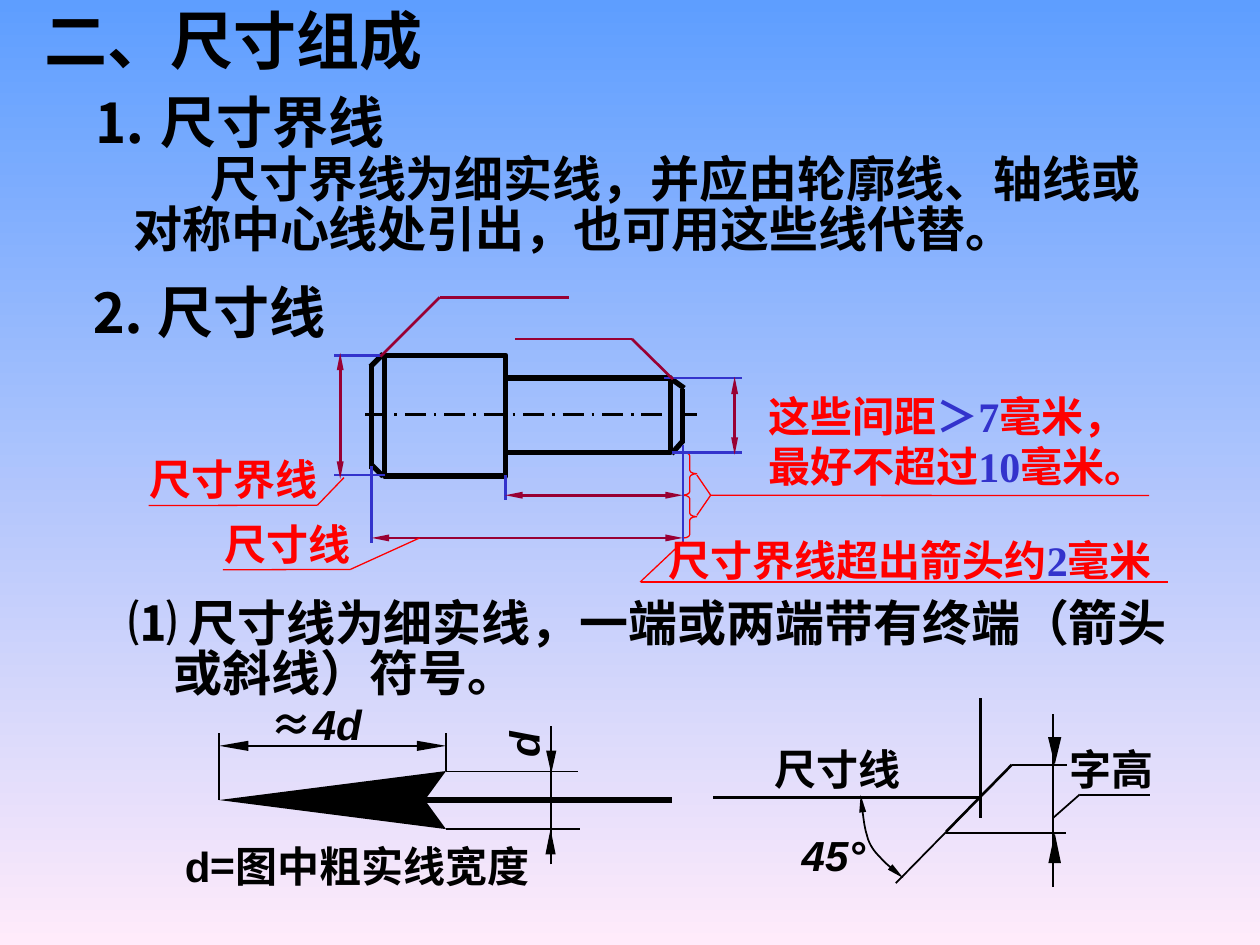
import pptx
import pptx.util
import pptx.dml.color
import pptx.enum.dml
import pptx.enum.shapes
import pptx.enum.text
import pptx.oxml
import pptx.oxml.ns
from dataclasses import dataclass

Pt = pptx.util.Pt
SHAPES = pptx.enum.shapes.MSO_SHAPE
ALIGN = pptx.enum.text.PP_ALIGN
ANCHOR = pptx.enum.text.MSO_ANCHOR


@dataclass(frozen=True)
class Theme:
    sky: str = "5E9EFF"
    blush: str = "FFEBFA"
    ink: str = "000000"
    note: str = "FF0000"
    extension: str = "3333CC"
    dimension: str = "990033"
    sans: str = "Arial"
    serif: str = "Times New Roman"
    chinese: str = "Noto Sans CJK SC"
    title: int = 36
    heading: int = 32
    body: int = 28
    label: int = 24
    thick: float = 3
    medium: float = 1.5
    thin: float = 1
    hair: float = 0.75


theme = Theme()

# ---- Content: text as paragraphs of spans, then left, top, width, height ----
TITLE = ("二、尺寸组成", (18, -3, 245, 50.4))
number = {"color": theme.extension}
HEADINGS = [
    ("⒈ 尺寸界线", (44.6, 46, 183.6, 46), {"align": ALIGN.CENTER}),
    ("⒉ 尺寸线", (43.9, 154.8, 151.2, 46), {}),
]
BODIES = [
    ([["尺寸界线为细实线，并应由轮廓线、轴线或对称中心线处引出，也可用这些线代替。"]],
     (69.1, 86.4, 614.9, 64.8), [(0, 44)]),
    ([["⑴ 尺寸线为细实线，一端或两端带有终端（箭头"], ["或斜线）符号。"]],
     (66.2, 339.8, 671.8, 64.8), [(0, 0), (26, 0)]),
]
NOTES = [
    ([["这些间距", ("＞7", number), "毫米，"], ["最好不超过", ("10", number), "毫米。"]],
     (432, 219.6, 241.9, 64.8)),
    ("尺寸界线", (78.5, 255.6, 110.2, 36)),
    ("尺寸线", (121, 293, 86.4, 36)),
    ([["尺寸界线超出箭头约", ("2", number), "毫米"]], (375.1, 301.7, 301.7, 36)),
]
middle = {"align": ALIGN.CENTER, "anchor": ANCHOR.MIDDLE}
flush = {"align": ALIGN.CENTER, "inset": (0, 0)}
slanted = {"font": theme.sans, "italic": True}
LABELS = [
    ([["≈", ("4d", slanted)]], (139.7, 398.9, 82.1, 28.8), flush),
    ("d", (284.4, 407.5, 28.8, 36), {**middle, **slanted, "rotation": 270}),
    ([[("d", {"font": theme.sans}), "=图中粗实线宽度"]], (98.6, 476.6, 216.7, 36),
     {"anchor": ANCHOR.MIDDLE}),
    ("字高", (611.3, 424.8, 48.2, 28.8), flush),
    ("尺寸线", (435.6, 421.2, 86.4, 36), middle),
    ("45°", (450.7, 470.2, 51.1, 36), {**middle, **slanted}),
]

# ---- Drawing: (colour, width, extra, [x1, y1, x2, y2 ...]) ----
SHAFT_RECTANGLES = [(219.6, 203, 69.5, 69.1), (288.7, 216, 94.3, 42.5)]
BRACE_TOPS = (258.5, 283)
LINES = [
    # shaft centre line and chamfers
    (theme.ink, theme.medium, "dash", [(208.8, 236.9, 398.2, 236.9)]),
    (theme.ink, theme.thick, None, [
        (383.8, 216.7, 391, 221.8), (390.2, 222.5, 390.2, 253.4),
        (383.8, 259.2, 390.2, 252), (218.9, 202.3, 211.7, 209.5),
        (212.4, 208.1, 212.4, 267.8), (218.9, 272.2, 212.4, 265.7)]),
    # extension lines
    (theme.extension, theme.medium, None, [
        (379.4, 216, 424.1, 216), (383.8, 258.5, 424.1, 258.5),
        (218.2, 203, 190.8, 203), (220.3, 271.4, 190.8, 271.4),
        (288.7, 271.4, 288.7, 285.8), (390.2, 254.2, 390.2, 310.3),
        (212.4, 266.4, 212.4, 310.3)]),
    # dimension lines
    (theme.dimension, theme.medium, "arrows", [
        (194.4, 201.6, 194.4, 273.6), (288.7, 283, 390.2, 283),
        (212.4, 307.4, 390.2, 307.4), (419.8, 215.3, 419.8, 259.9)]),
    # chamfer leaders
    (theme.dimension, theme.medium, None, [
        (217.4, 203.8, 251.3, 169.9), (251.3, 169.9, 325.4, 169.9),
        (384.5, 216.7, 361.1, 193.7), (361.4, 193.7, 294.5, 193.7)]),
    # note leaders
    (theme.note, theme.hair, None, [
        (398.2, 271.4, 406.1, 283), (398.2, 294.5, 406.1, 283),
        (406.1, 283, 656.6, 283.2), (196.6, 272.9, 181.4, 288.7),
        (181.4, 288.7, 85, 288.9), (239.8, 307.4, 200.2, 325.4),
        (200.2, 325.4, 127.4, 325.6), (390.2, 309.6, 365.8, 332.6),
        (366.5, 332.6, 667.4, 332.6)]),
    # enlarged arrow
    (theme.ink, theme.thick, None, [(221, 457.2, 383.8, 457.2)]),
    (theme.ink, theme.thin, None, [
        (254.9, 473.8, 331.2, 473.8), (254.9, 440.9, 330.5, 440.9),
        (125.3, 457.2, 125.3, 419), (254.9, 440.6, 254.9, 419),
        (131, 426.2, 249.1, 426.2), (314.8, 493.9, 314.8, 414.7)]),
    # oblique stroke
    (theme.ink, theme.medium, None, [
        (407.5, 455.8, 560.2, 455.8), (540.7, 475.2, 578.2, 437),
        (560.2, 398.9, 560.2, 467.3)]),
    (theme.ink, theme.thin, None, [
        (601.9, 506.9, 601.9, 408.2), (547.9, 468, 511.9, 504.7),
        (540.7, 475.9, 609.1, 475.9), (578.2, 437, 609.8, 437),
        (601.9, 467.3, 617, 454), (617, 454.3, 657.4, 454.3)]),
]
ARROW_BODY = [(125.3, 457.2), (254.9, 440.6), (242.8, 457.2), (254.9, 473.8)]
# tip x, tip y, offset of the base from the tip, half the base
ARROW_TIPS = [
    (125.3, 426.2, 16.6, 0, 2.9), (254.9, 426.2, -16.6, 0, 2.9),
    (315, 442, 0, -13, 2.9), (314.6, 473.8, 0, 14.4, 2.9),
    (602.7, 437, 0, -15.8, 3.8), (602.7, 475.9, 0, 17.3, 3.6),
]
ANGLE_CURVE = [
    [(491.8, 454.3), (492.5, 457.9), (493.2, 470.9), (495.4, 477.4)],
    [(495.4, 477.4), (496.8, 483.1), (499.7, 486.7), (503.3, 490.3)],
    [(503.3, 490.3), (506.9, 494.6), (513.4, 498.9), (516.2, 501.8)],
]

# ---- Helpers ----


def rgb(color):
    return pptx.dml.color.RGBColor.from_string(color)


def write_text(box, text, *, size, font=theme.chinese, color=theme.ink, italic=False,
               align=ALIGN.LEFT, anchor=ANCHOR.TOP, inset=(7.2, 3.6), wrap=False,
               spacing=1.0, indents=(), rotation=0):
    frame = box.text_frame
    box.rotation = rotation
    frame.auto_size = pptx.enum.text.MSO_AUTO_SIZE.NONE
    frame.word_wrap = wrap
    frame.vertical_anchor = anchor
    frame.margin_left = frame.margin_right = Pt(inset[0])
    frame.margin_top = frame.margin_bottom = Pt(inset[1])
    for index, spans in enumerate([[text]] if isinstance(text, str) else text):
        para = frame.add_paragraph() if index else frame.paragraphs[0]
        para.alignment = align
        para.line_spacing = spacing
        if indents:
            left, first = indents[index]
            properties = para._p.get_or_add_pPr()
            properties.set("marL", str(Pt(left)))
            properties.set("indent", str(Pt(first)))
        for item in spans:
            words, changes = (item, {}) if isinstance(item, str) else item
            look = {"font": font, "color": color, "italic": italic, **changes}
            span = para.add_run()
            span.text = words
            span.font.size = Pt(size)
            span.font.bold = True
            span.font.italic = look["italic"]
            span.font.color.rgb = rgb(look["color"])
            span.font.name = look["font"]
            east = span.font._element.makeelement(
                pptx.oxml.ns.qn("a:ea"), {"typeface": theme.chinese})
            span.font._element.find(pptx.oxml.ns.qn("a:latin")).addnext(east)


def add_text(page, text, place, **look):
    write_text(page.shapes.add_textbox(*map(Pt, place)), text, **look)


def style_line(shape, color, width, extra=None):
    shape.line.color.rgb = rgb(color)
    shape.line.width = Pt(width)
    if extra == "dash":
        shape.line.dash_style = pptx.enum.dml.MSO_LINE.LONG_DASH_DOT
    if extra == "arrows":
        line = shape.line._get_or_add_ln()
        for end in ("a:headEnd", "a:tailEnd"):
            line.append(line.makeelement(
                pptx.oxml.ns.qn(end), {"type": "triangle", "w": "sm", "len": "lg"}))


def add_line(page, ends, color, width, extra):
    line = page.shapes.add_connector(
        pptx.enum.shapes.MSO_CONNECTOR.STRAIGHT, *map(Pt, ends))
    style_line(line, color, width, extra)
    properties = line._element.spPr
    properties.append(properties.makeelement(pptx.oxml.ns.qn("a:effectLst"), {}))


def add_outline(page, points, close):
    start, *rest = [(Pt(x), Pt(y)) for x, y in points]
    builder = page.shapes.build_freeform(*start)
    builder.add_line_segments(rest, close=close)
    shape = builder.convert_to_shape()
    shape.shadow.inherit = False
    return shape


def add_solid(page, points):
    shape = add_outline(page, points, True)
    shape.fill.solid()
    shape.fill.fore_color.rgb = rgb(theme.ink)
    shape.line.fill.background()


def add_hollow(page, kind, place, color, width):
    shape = page.shapes.add_shape(kind, *map(Pt, place))
    shape.shadow.inherit = False
    shape.fill.background()
    style_line(shape, color, width)
    return shape


def bezier(points, t):
    weights = ((1 - t) ** 3, 3 * t * (1 - t) ** 2, 3 * t * t * (1 - t), t ** 3)
    return tuple(sum(w * p[axis] for w, p in zip(weights, points)) for axis in (0, 1))


def main():
    deck = pptx.Presentation()
    deck.slide_width, deck.slide_height = Pt(720), Pt(540)
    page = deck.slides.add_slide(deck.slide_layouts[5])

    # Background
    fill = page.background.fill
    fill.gradient()
    fill.gradient_angle = 270
    for stop, color in zip(fill.gradient_stops, (theme.sky, theme.blush)):
        stop.color.rgb = rgb(color)

    # Title
    words, place = TITLE
    title = page.shapes.title
    title.left, title.top, title.width, title.height = map(Pt, place)
    write_text(title, words, size=theme.title, font=theme.sans, anchor=ANCHOR.MIDDLE,
               wrap=True)

    # Drawings
    for place in SHAFT_RECTANGLES:
        add_hollow(page, SHAPES.RECTANGLE, place, theme.ink, theme.thick)
    for top in BRACE_TOPS:
        brace = add_hollow(page, SHAPES.RIGHT_BRACE, (390.2, top, 7.9, 24.5),
                           theme.note, theme.hair)
        brace.adjustments[0] = 0.25
    for color, width, extra, segments in LINES:
        for ends in segments:
            add_line(page, ends, color, width, extra)
    add_solid(page, ARROW_BODY)
    for x, y, dx, dy, half in ARROW_TIPS:
        side = (0, half) if dx else (half, 0)
        add_solid(page, [(x, y), (x + dx - side[0], y + dy - side[1]),
                         (x + dx + side[0], y + dy + side[1])])
    curve = [bezier(part, step / 8) for part in ANGLE_CURVE for step in range(8)]
    arc = add_outline(page, curve + [ANGLE_CURVE[-1][-1]], False)
    arc.fill.background()
    style_line(arc, theme.ink, theme.thin, "arrows")

    # Text
    for words, place, look in HEADINGS:
        add_text(page, words, place, size=theme.heading, font=theme.sans,
                 anchor=ANCHOR.MIDDLE, **look)
    for words, place, indents in BODIES:
        add_text(page, words, place, size=theme.body, font=theme.sans, wrap=True,
                 anchor=ANCHOR.MIDDLE, spacing=0.85, indents=indents)
    for words, place in NOTES:
        add_text(page, words, place, size=theme.label, font=theme.serif, color=theme.note)
    for words, place, look in LABELS:
        add_text(page, words, place, **{"size": theme.label, **look})

    deck.save("out.pptx")


if __name__ == "__main__":
    main()
